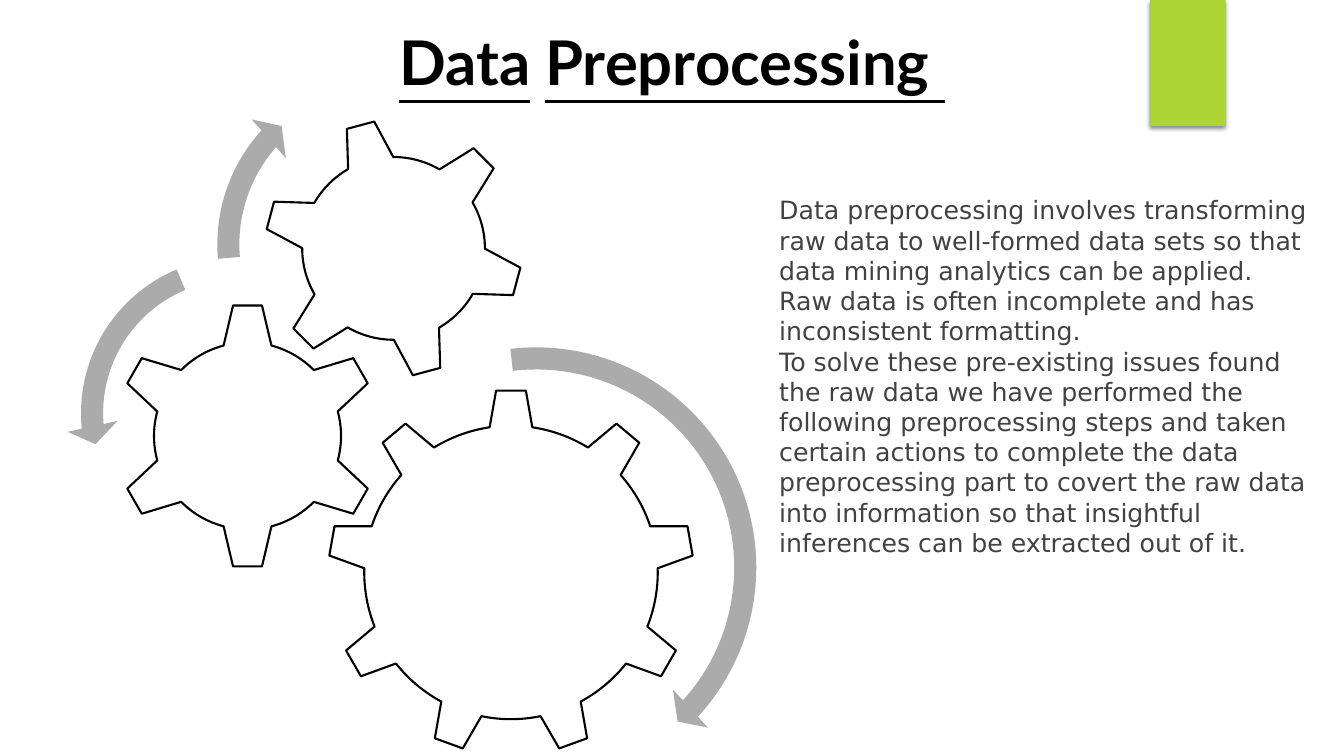
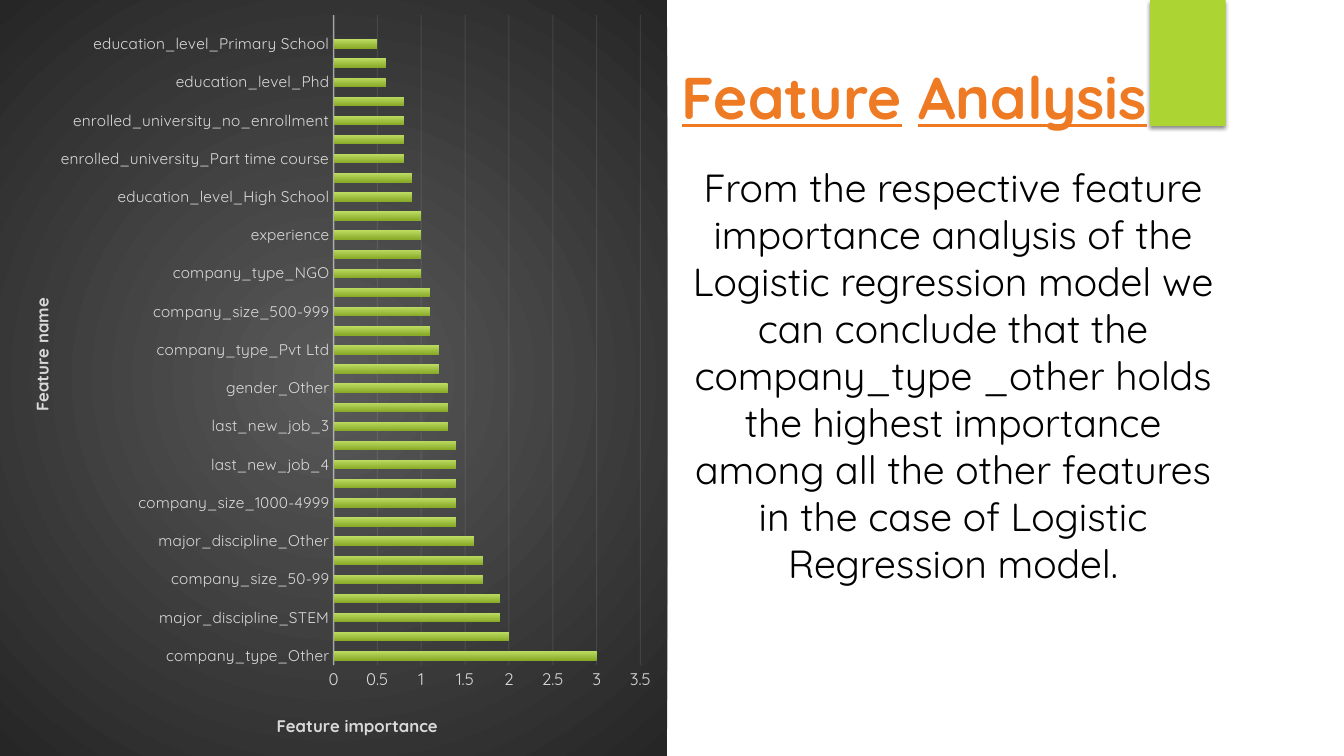
from pptx import Presentation
from pptx.chart.data import CategoryChartData
from pptx.dml.color import RGBColor
from pptx.enum.chart import XL_CHART_TYPE, XL_TICK_MARK
from pptx.enum.shapes import MSO_SHAPE
from pptx.enum.text import MSO_ANCHOR, MSO_AUTO_SIZE, PP_ALIGN
from pptx.oxml import parse_xml
from pptx.oxml.ns import nsdecls, qn
from pptx.util import Pt

SLIDE_WIDTH, SLIDE_HEIGHT = 960, 540
BLACK, WHITE = "000000", "FFFFFF"
GREEN, ORANGE = "ACD433", "EF7A24"
ARROW_GREY, BODY_GREY = "ABABAB", "424242"
AXIS_TEXT, AXIS_LINE = "D9D9D9", "F2F2F2"
PANEL_CENTRE, PANEL_EDGE = "595959", "262626"
BAR_TOP, BAR_BOTTOM = "BCDC62", "8AAA29"
TITLE_FONT, BODY_FONT, FEATURE_FONT = "Lato", "DejaVu Sans", "Quicksand"

# Shape kind, left, top, size, rotation
GEARS = [
    (MSO_SHAPE.GEAR_9, 186.5, 234.7, 262, 0),
    (MSO_SHAPE.GEAR_6, 33.9, 172.8, 190.8, 0),
    (MSO_SHAPE.GEAR_6, 140.4, 41, 186.5, 345),
]
# Shape kind, left, top, size, adjustments
ARROWS = [
    (MSO_SHAPE.CIRCULAR_ARROW, 167.8, 194.4, 335.5, (0.047, 2.99, 25.479, 157.946, 0.055)),
    (MSO_SHAPE.LEFT_CIRCULAR_ARROW, 0, 130.3, 243.4, (0.065, 4.3, 104.891, 148.378, 0.075)),
    (MSO_SHAPE.CIRCULAR_ARROW, 97.2, 0, 262.8, (0.06, 3.941, 133.138, 105.082, 0.07)),
]

PREPROCESSING = [
    "Data preprocessing involves transforming raw data to well-formed data sets so that "
    "data mining analytics can be applied. Raw data is often incomplete and has "
    "inconsistent formatting.",
    "To solve these pre-existing issues found the raw data we have performed the following "
    "preprocessing steps and taken certain actions to complete the data preprocessing part "
    "to covert the raw data into information so that insightful inferences can be extracted "
    "out of it.",
]
CONCLUSION = [
    "From the respective feature importance analysis of the Logistic regression model we can "
    "conclude that the company_type _other holds the highest importance among all the other "
    "features in the case of Logistic Regression model.",
]

FEATURE_IMPORTANCE = [
    ("company_type_Other", 3), ("company_type_Public Sector", 2),
    ("major_discipline_STEM", 1.9), ("company_size_49", 1.9),
    ("company_size_50-99", 1.7), ("major_discipline_Business Degree", 1.7),
    ("major_discipline_Other", 1.6), ("company_size_<10", 1.4),
    ("company_size_1000-4999", 1.4), ("major_discipline_Humanities", 1.4),
    ("last_new_job_4", 1.4), ("relevent_experience_No relevent experience", 1.4),
    ("last_new_job_3", 1.3), ("company_size_10000+", 1.3),
    ("gender_Other", 1.3), ("company_size_5000-9999", 1.2),
    ("company_type_Pvt Ltd", 1.2), ("last_new_job_>4", 1.1),
    ("company_size_500-999", 1.1), ("last_new_job_2", 1.1),
    ("company_type_NGO", 1), ("training_hours", 1),
    ("experience", 1), ("gender_Male", 1),
    ("education_level_High School", 0.9), ("major_discipline_No Major", 0.9),
    ("enrolled_university_Part time course", 0.8), ("education_level_Masters", 0.8),
    ("enrolled_university_no_enrollment", 0.8), ("last_new_job_never", 0.8),
    ("education_level_Phd", 0.6), ("company_type_Funded Startup", 0.6),
    ("education_level_Primary School", 0.5), ("city_development_index", 0),
]


def color(hex_string):
    return RGBColor.from_string(hex_string)


def format_font(font, name, size, fill, bold=False, underline=False):
    font.name, font.size = name, Pt(size)
    font.bold, font.underline = bold, underline
    font.color.rgb = color(fill)


def add_text(paragraph, text, **font_format):
    run = paragraph.add_run()
    run.text = text
    format_font(run.font, **font_format)


def place(shape, left, top, width, height):
    shape.left, shape.top = Pt(left), Pt(top)
    shape.width, shape.height = Pt(width), Pt(height)


def prepare_frame(shape, box):
    """Move a placeholder to its box and return its wrapping, top-anchored frame."""
    place(shape, *box)
    frame = shape.text_frame
    frame.word_wrap = True
    frame.auto_size = MSO_AUTO_SIZE.NONE
    frame.vertical_anchor = MSO_ANCHOR.TOP
    return frame


def write_title(slide, box, words, **font_format):
    """Write a centred bold title whose words, but not the gap, are underlined."""
    paragraph = prepare_frame(slide.shapes.title, box).paragraphs[0]
    paragraph.alignment = PP_ALIGN.CENTER
    first, second = words
    for text, underline in ((first, True), (" ", False), (second, True)):
        add_text(paragraph, text, bold=True, underline=underline, **font_format)


def write_body(slide, box, texts, alignment=PP_ALIGN.LEFT, **font_format):
    frame = prepare_frame(slide.placeholders[1], box)
    for index, text in enumerate(texts):
        paragraph = frame.add_paragraph() if index else frame.paragraphs[0]
        paragraph.alignment = alignment
        paragraph.space_before = Pt(0)
        properties = paragraph._p.get_or_add_pPr()
        properties.set("marL", "0")
        properties.set("indent", "0")
        properties.append(parse_xml(f"<a:buNone {nsdecls('a')}/>"))
        add_text(paragraph, text, **font_format)


def add_shape(shapes, kind, left, top, width, height, fill, line=None):
    shape = shapes.add_shape(kind, Pt(left), Pt(top), Pt(width), Pt(height))
    shape.shadow.inherit = False
    shape.fill.solid()
    shape.fill.fore_color.rgb = color(fill)
    if line:
        shape.line.color.rgb = color(line)
        shape.line.width = Pt(1.5)
    else:
        shape.line.fill.background()
    return shape


def add_master_band(presentation, slide):
    """Draw the green band and move it to the master that all slides share."""
    band = add_shape(slide.shapes, MSO_SHAPE.RECTANGLE, 821.5, 0, 54, 90, GREEN)
    effects = band.element.spPr.find(qn("a:effectLst"))
    effects.append(parse_xml(
        f'<a:outerShdw {nsdecls("a")} blurRad="{Pt(3)}" dist="{Pt(2)}" dir="5400000">'
        f'<a:srgbClr val="{BLACK}"><a:alpha val="45000"/></a:srgbClr></a:outerShdw>'))
    band.element.nvSpPr.cNvPr.set("id", "100")
    presentation.slide_master.shapes.element.append(band.element)


def add_gears(slide, left, top):
    shapes = slide.shapes.add_group_shape().shapes
    for kind, x, y, size, rotation in GEARS:
        gear = add_shape(shapes, kind, left + x, top + y, size, size, WHITE, BLACK)
        gear.rotation = rotation
    for kind, x, y, size, adjustments in ARROWS:
        arrow = add_shape(shapes, kind, left + x, top + y, size, size, ARROW_GREY)
        for index, value in enumerate(adjustments):
            arrow.adjustments[index] = value


def set_layout(parent, target="", **fractions):
    """Place a chart part by fractions of the chart area."""
    for old_layout in parent.findall(qn("c:layout")):
        parent.remove(old_layout)
    inner = f'<c:layoutTarget val="{target}"/>' if target else ""
    modes = "".join(f'<c:{axis}Mode val="edge"/>' for axis in "xy")
    values = "".join(f'<c:{name} val="{value}"/>' for name, value in fractions.items())
    layout = parse_xml(f"<c:layout {nsdecls('c')}><c:manualLayout>{inner}{modes}{values}"
                       "</c:manualLayout></c:layout>")
    parent.insert(0 if parent.find(qn("c:tx")) is None else 1, layout)


def set_alpha(chart, location, percent):
    for element in chart.element.xpath(f"//{location}/c:spPr//a:srgbClr"):
        element.append(parse_xml(f'<a:alpha {nsdecls("a")} val="{percent * 1000}"/>'))


def fill_chart_area(chart):
    """Give the chart area a round gradient without an outline."""
    area = parse_xml(
        f'<c:spPr {nsdecls("c", "a")}><a:gradFill><a:gsLst>'
        f'<a:gs pos="0"><a:srgbClr val="{PANEL_CENTRE}"/></a:gs>'
        f'<a:gs pos="100000"><a:srgbClr val="{PANEL_EDGE}"/></a:gs></a:gsLst>'
        '<a:path path="circle"><a:fillToRect l="50000" t="50000" r="50000" b="50000"/></a:path>'
        '</a:gradFill><a:ln><a:noFill/></a:ln></c:spPr>')
    chart.element.find(qn("c:chart")).addnext(area)


def format_axis(axis, title, size):
    axis.major_tick_mark = axis.minor_tick_mark = XL_TICK_MARK.NONE
    format_font(axis.tick_labels.font, FEATURE_FONT, size, AXIS_TEXT)
    add_text(axis.axis_title.text_frame.paragraphs[0], title,
             name=FEATURE_FONT, size=12, fill=AXIS_TEXT, bold=True)


def format_bars(plot):
    plot.gap_width, plot.overlap = 115, -20
    plot.vary_by_categories = False
    series = plot.series[0]
    series.invert_if_negative = False
    fill = series.format.fill
    fill.gradient()
    fill.gradient_angle = 270
    for stop, position, shade in zip(fill.gradient_stops, (0, 1), (BAR_TOP, BAR_BOTTOM)):
        stop.position = position
        stop.color.rgb = color(shade)


def add_importance_chart(slide, left, top, width, height):
    data = CategoryChartData()
    names, values = zip(*FEATURE_IMPORTANCE)
    data.categories = names
    data.add_series("Series 1", values)
    chart = slide.shapes.add_chart(XL_CHART_TYPE.BAR_CLUSTERED, Pt(left), Pt(top),
                                   Pt(width), Pt(height), data).chart
    chart.has_legend = chart.has_title = False
    format_font(chart.font, FEATURE_FONT, 10, BLACK)
    fill_chart_area(chart)
    format_bars(chart.plots[0])

    categories, scale = chart.category_axis, chart.value_axis
    format_axis(categories, "Feature name", 11)
    categories.format.line.color.rgb = color(AXIS_LINE)
    categories.format.line.width = Pt(1)
    format_axis(scale, "Feature importance", 12)
    scale.format.line.fill.background()
    scale.minimum_scale, scale.maximum_scale, scale.major_unit = 0, 3.5, 0.5
    grid = scale.major_gridlines.format.line
    grid.color.rgb = color(AXIS_LINE)
    grid.width = Pt(0.75)
    set_alpha(chart, "c:catAx", 54)
    set_alpha(chart, "c:majorGridlines", 10)

    set_layout(chart.element.xpath("//c:plotArea")[0], "inner", x=0.5, y=0.02, w=0.46, h=0.86)
    set_layout(chart.element.xpath("//c:catAx/c:title")[0], x=0.04, y=0.39)
    set_layout(chart.element.xpath("//c:valAx/c:title")[0], x=0.41, y=0.94)


def build_preprocessing(slide):
    write_title(slide, (0, 13.7, SLIDE_WIDTH, 60.5), ("Data", "Preprocessing "),
                name=TITLE_FONT, size=44, fill=BLACK)
    add_gears(slide, 47.5, 43.2)
    write_body(slide, (549.4, 135.4, 393.8, 269.3), PREPROCESSING,
               name=BODY_FONT, size=18, fill=BODY_GREY)


def build_feature_analysis(slide):
    write_title(slide, (467.3, 39.6, 371.5, 58.3), ("Feature", "Analysis"),
                name=FEATURE_FONT, size=42, fill=ORANGE)
    write_body(slide, (483.1, 113, 395.3, 380.2), CONCLUSION, PP_ALIGN.CENTER,
               name=FEATURE_FONT, size=28, fill=BLACK)
    add_importance_chart(slide, 0, 0, 476.6, SLIDE_HEIGHT)


def main():
    presentation = Presentation()
    presentation.slide_width, presentation.slide_height = Pt(SLIDE_WIDTH), Pt(SLIDE_HEIGHT)
    layout = presentation.slide_layouts[1]
    slides = [presentation.slides.add_slide(layout) for _ in range(2)]
    add_master_band(presentation, slides[0])
    build_preprocessing(slides[0])
    build_feature_analysis(slides[1])
    presentation.save("out.pptx")


if __name__ == "__main__":
    main()
